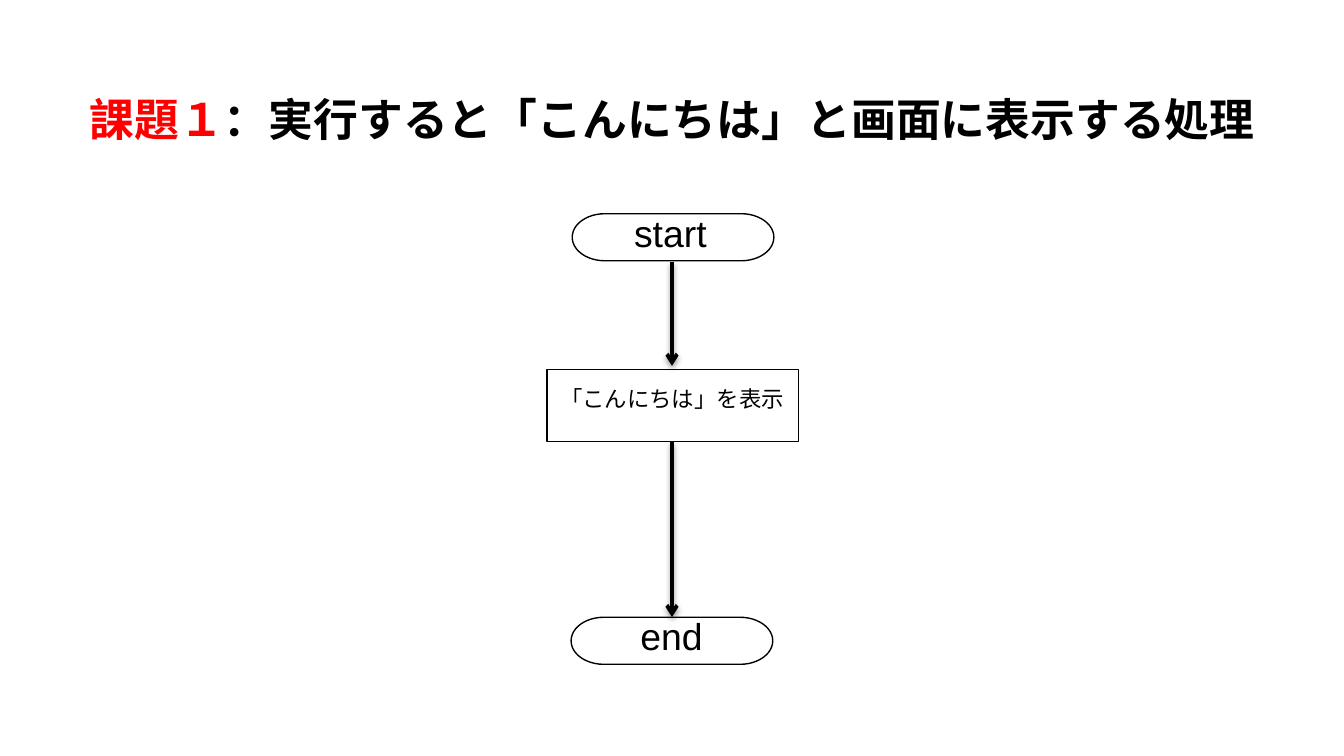
from lxml.etree import SubElement
from pptx import Presentation
from pptx.dml.color import RGBColor
from pptx.enum.shapes import MSO_CONNECTOR as CONN, MSO_SHAPE as SHAPE
from pptx.enum.text import MSO_ANCHOR as ANCHOR, MSO_AUTO_SIZE as AUTO, PP_ALIGN as ALIGN
from pptx.oxml.ns import qn
from pptx.util import Pt

COLORS = {"ink": "000000", "accent": "FF0000", "paper": "FFFFFF"}
FONT = "Arial"

TITLE = [("課題１", "accent"), ("：実行すると「こんにちは」と画面に表示する処理", "ink")]
TITLE_BOX = (0, 41.8, 720, 83.5)
NODES = [
    (SHAPE.FLOWCHART_TERMINATOR, None, (306.6, 114.5, 108, 25.2)),
    (SHAPE.FLOWCHART_TERMINATOR, None, (306, 330.7, 108, 25.2)),
    (SHAPE.FLOWCHART_PROCESS, "paper", (293, 198, 134.8, 38.7)),
]
LABELS = [
    ("start", 20, (332.6, 108.8, 54, 31.5)),
    ("end", 20, (336, 325.2, 48, 31.5)),
    ("「こんにちは」を表示", 12, (293, 203, 135.2, 21.8)),
]
ARROWS = [(140.5, 196), (236.7, 330.6)]
ARROW_X = 360


def rgb(name):
    return RGBColor.from_string(COLORS[name])


def add_text(slide, box, runs, size, bold=False, margin=None, wrap=False, align=ALIGN.LEFT):
    s = slide.shapes.add_textbox(*map(Pt, box))
    tf = s.text_frame
    tf.word_wrap = wrap
    tf.auto_size = AUTO.NONE if wrap else AUTO.SHAPE_TO_FIT_TEXT
    tf.vertical_anchor = ANCHOR.TOP
    if margin is not None:
        tf.margin_left = tf.margin_right = tf.margin_top = tf.margin_bottom = Pt(margin)
    p = tf.paragraphs[0]
    p.alignment = align
    for text, color in runs:
        r = p.add_run()
        r.text = text
        r.font.name = FONT
        r.font.size = Pt(size)
        r.font.bold = bold
        r.font.color.rgb = rgb(color)


def add_node(slide, kind, fill, box):
    s = slide.shapes.add_shape(kind, *map(Pt, box))
    s.shadow.inherit = False
    if fill:
        s.fill.solid()
        s.fill.fore_color.rgb = rgb(fill)
    else:
        s.fill.background()
    s.line.color.rgb = rgb("ink")
    s.line.width = Pt(0.75)


def add_arrow(slide, top, bottom):
    c = slide.shapes.add_connector(CONN.STRAIGHT, Pt(ARROW_X), Pt(top), Pt(ARROW_X), Pt(bottom))
    c.line.color.rgb = rgb("ink")
    c.line.width = Pt(2)
    sp_pr = c._element.spPr
    SubElement(sp_pr.find(qn("a:ln")), qn("a:tailEnd"), type="arrow")
    effects = SubElement(sp_pr, qn("a:effectLst"))
    shadow = SubElement(effects, qn("a:outerShdw"), blurRad=str(Pt(3.1)),
                        dist=str(Pt(1.6)), dir="5400000", rotWithShape="0")
    color = SubElement(shadow, qn("a:srgbClr"), val=COLORS["ink"])
    SubElement(color, qn("a:alpha"), val="38000")


prs = Presentation()
prs.slide_width, prs.slide_height = Pt(720), Pt(405)
slide = prs.slides.add_slide(prs.slide_layouts[6])

add_text(slide, TITLE_BOX, TITLE, 24, bold=True, margin=7.2, wrap=True, align=ALIGN.CENTER)
for node in NODES:
    add_node(slide, *node)
for text, size, box in LABELS:
    add_text(slide, box, [(text, "ink")], size)
for arrow in ARROWS:
    add_arrow(slide, *arrow)

prs.save("out.pptx")
